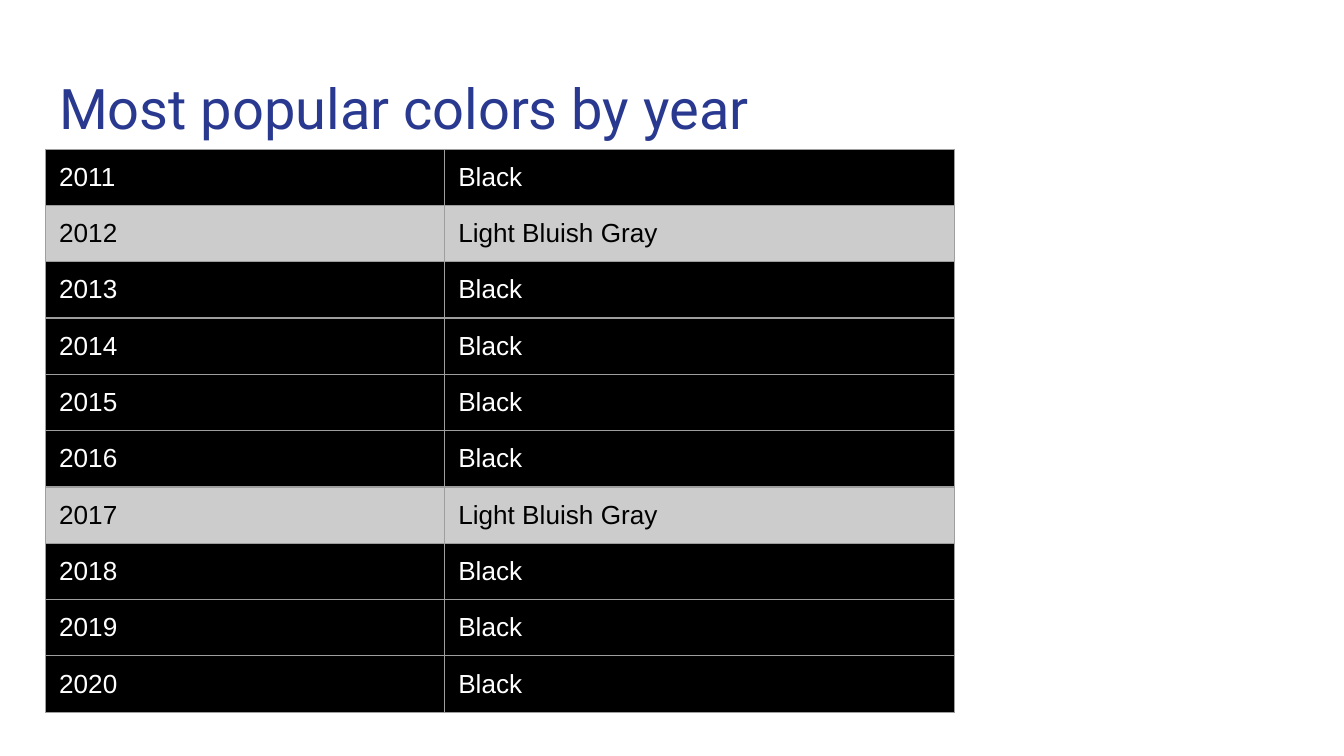
from dataclasses import dataclass

from lxml import etree
from pptx import Presentation
from pptx.dml.color import RGBColor
from pptx.enum.text import MSO_ANCHOR, MSO_AUTO_SIZE, PP_ALIGN
from pptx.oxml.ns import qn
from pptx.util import Inches, Pt

TOP = MSO_ANCHOR.TOP
LEFT = PP_ALIGN.LEFT
FIXED = MSO_AUTO_SIZE.NONE

WIDE = 10
HIGH = WIDE * 9 / 16
EDGE = 0.34
HEAD = 0.08 * HIGH
BODY = 1.11
COLS = (2.97, 3.79)
ROW = 0.39
PAD = Inches(0.1)


@dataclass(frozen=True)
class Tone:
    name: str
    fill: str
    ink: str


BLACK = Tone("Black", "000000", "FFFFFF")
GRAY = Tone("Light Bluish Gray", "CCCCCC", "000000")
START = 2011
TONES = [BLACK, GRAY, *[BLACK] * 4, GRAY, *[BLACK] * 3]


def color(code: str) -> RGBColor:
    return RGBColor.from_string(code)


def write(frame, text: str, size: float, face: str, ink: str) -> None:
    line = frame.paragraphs[0]
    line.alignment = LEFT
    run = line.add_run()
    run.text = text
    run.font.size = Pt(size)
    run.font.name = face
    run.font.color.rgb = color(ink)


def border(cell, code: str, width: float) -> None:
    props = cell._tc.get_or_add_tcPr()
    for side in ("lnL", "lnR", "lnT", "lnB"):
        line = etree.SubElement(props, qn(f"a:{side}"), w=str(Pt(width)))
        fill = etree.SubElement(line, qn("a:solidFill"))
        etree.SubElement(fill, qn("a:srgbClr"), val=code)


def paint(cell, text: str, tone: Tone) -> None:
    cell.margin_left = cell.margin_right = PAD
    cell.margin_top = cell.margin_bottom = PAD
    cell.vertical_anchor = TOP
    border(cell, "9E9E9E", 0.75)
    cell.fill.solid()
    cell.fill.fore_color.rgb = color(tone.fill)
    write(cell.text_frame, text, 14, "Arial", tone.ink)


def add_title(slide, text: str) -> None:
    title = slide.shapes.title
    title.left, title.top = Inches(EDGE), Inches(HEAD)
    title.width, title.height = Inches(WIDE - 2 * EDGE), Inches(BODY - HEAD)
    frame = title.text_frame
    frame.auto_size = FIXED
    frame.word_wrap = True
    frame.vertical_anchor = TOP
    frame.margin_left = frame.margin_right = PAD
    frame.margin_top = frame.margin_bottom = PAD
    write(frame, text, 30, "Roboto", "2A3990")


def add_years(slide, tones: list[Tone]) -> None:
    count = len(tones)
    table = slide.shapes.add_table(
        count, len(COLS), Inches(EDGE), Inches(BODY),
        Inches(sum(COLS)), Inches(count * ROW),
    ).table
    table.first_row = table.horz_banding = False
    for col, width in zip(table.columns, COLS):
        col.width = Inches(width)
    for row, tone in enumerate(tones):
        table.rows[row].height = Inches(ROW)
        for col, text in enumerate((str(START + row), tone.name)):
            paint(table.cell(row, col), text, tone)


def main() -> None:
    deck = Presentation()
    deck.slide_width, deck.slide_height = Inches(WIDE), Inches(HIGH)
    slide = deck.slides.add_slide(deck.slide_layouts[5])
    add_title(slide, "Most popular colors by year")
    add_years(slide, TONES)
    deck.save("out.pptx")


if __name__ == "__main__":
    main()
